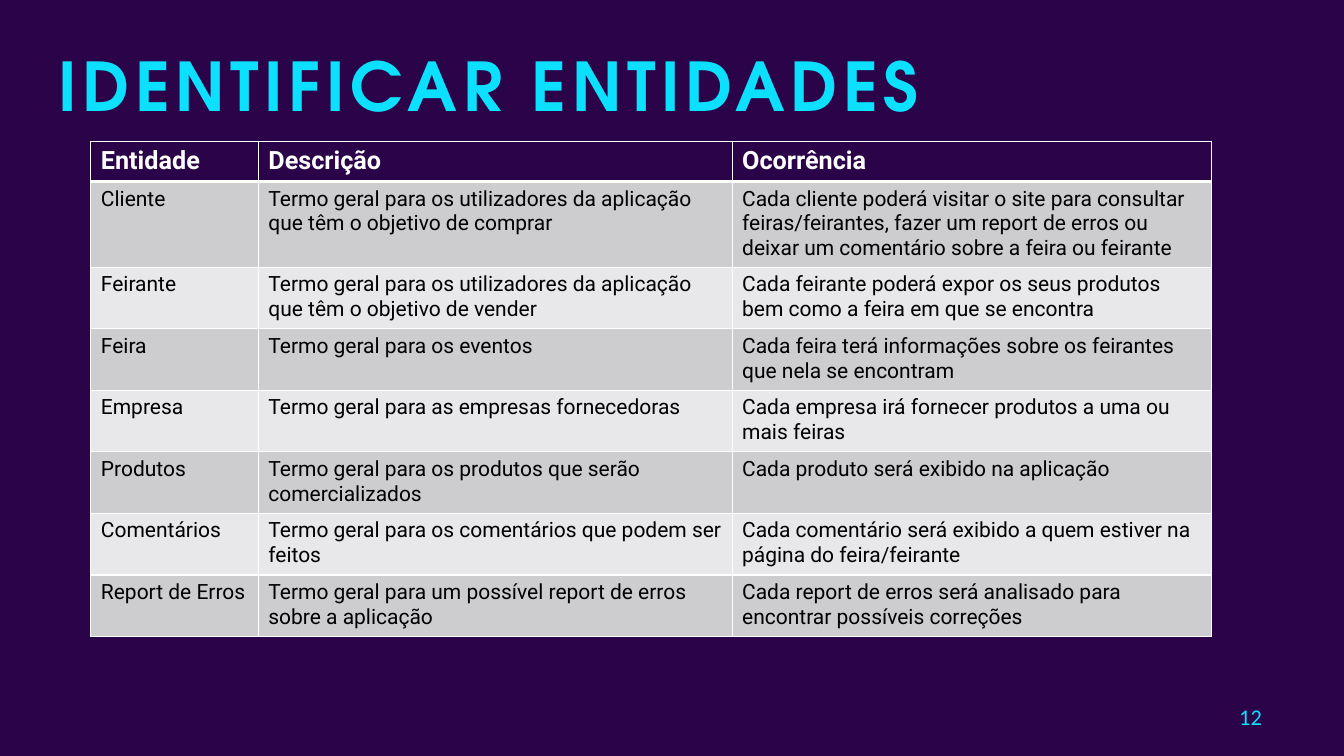
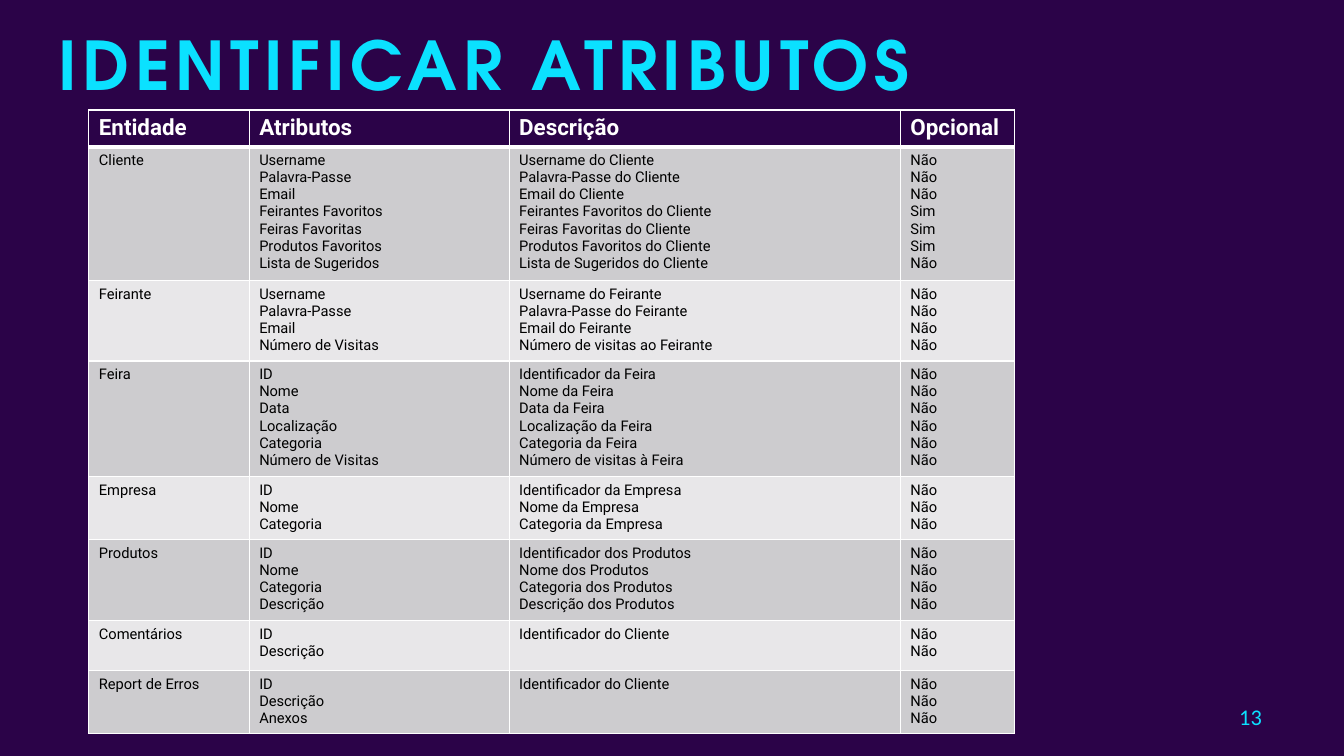
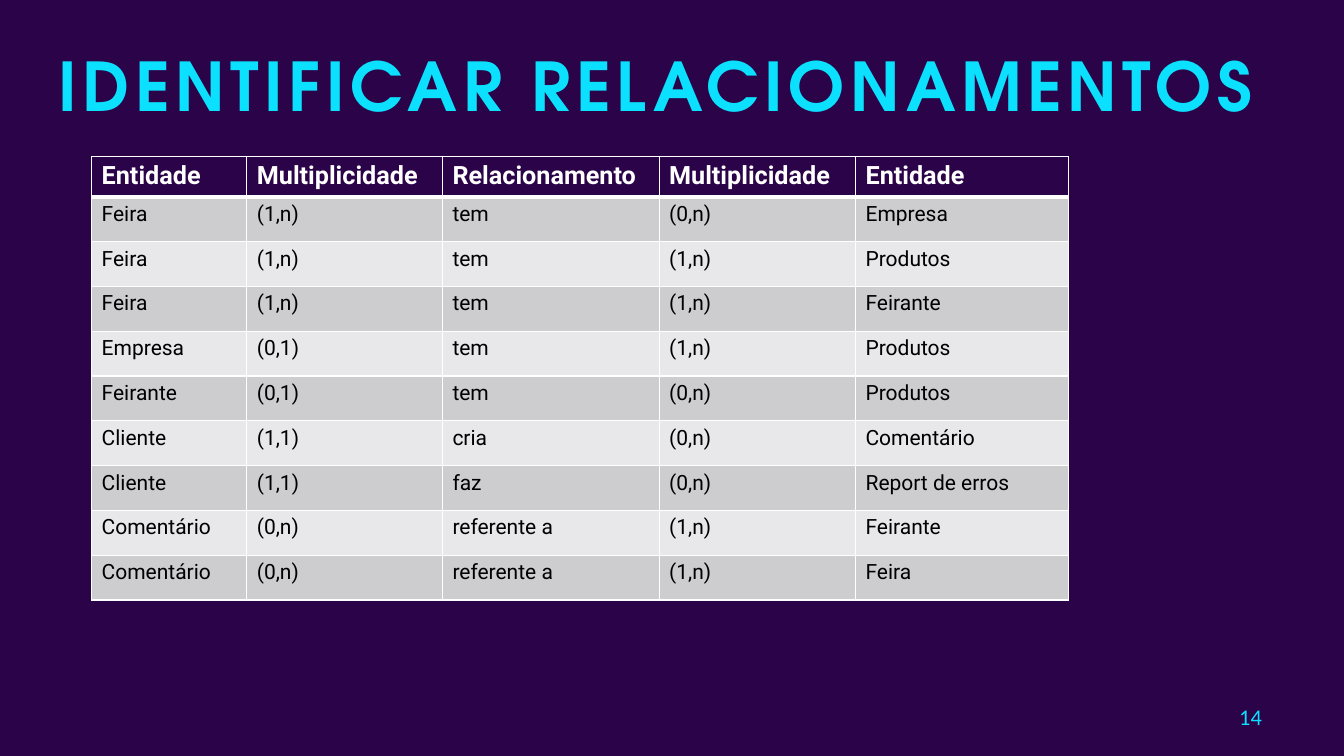
from dataclasses import dataclass

from lxml.etree import SubElement
from pptx import Presentation
from pptx.dml.color import RGBColor
from pptx.enum.text import MSO_ANCHOR as Anchor, PP_ALIGN as Align
from pptx.oxml.ns import qn
from pptx.util import Cm, Pt

Cell = str | tuple[str, ...]


@dataclass(frozen=True)
class Theme:
    background: str = "2B0348"
    accent: str = "0BE1FF"
    white: str = "FFFFFF"
    black: str = "000000"
    odd_row: str = "CDCCCF"
    even_row: str = "E8E7E9"
    title_font: str = "TeX Gyre Adventor"
    table_font: str = "Roboto"
    number_font: str = "Calibri"
    title_size: float = 48
    number_size: float = 16
    title_tracking: float = 4
    thin_border: float = 1
    thick_border: float = 3


THEME = Theme()


@dataclass(frozen=True)
class TextStyle:
    font: str
    size: float
    color: str
    bold: bool = False
    tracking: float = 0


TITLE_STYLE = TextStyle(THEME.title_font, THEME.title_size, THEME.accent, True, THEME.title_tracking)
NUMBER_STYLE = TextStyle(THEME.number_font, THEME.number_size, THEME.accent)


@dataclass(frozen=True)
class Box:
    """Position and size in centimetres."""
    left: float
    top: float
    width: float
    height: float


NUMBER_BOX = Box(30.53, 17.25, 1.52, 1.6)


@dataclass(frozen=True)
class TableSlide:
    number: int
    title: str
    title_box: Box
    left: float
    top: float
    columns: tuple[float, ...]
    heights: tuple[float, ...]
    header_size: float
    body_size: float
    rows: tuple[tuple[Cell, ...], ...]


def add_run(paragraph, text: str, style: TextStyle) -> None:
    run = paragraph.add_run()
    run.text = text
    run.font.name = style.font
    run.font.size = Pt(style.size)
    run.font.bold = style.bold
    run.font.color.rgb = RGBColor.from_string(style.color)
    if style.tracking:
        run.font._element.set("spc", str(int(style.tracking * 100)))


def add_text(slide, box: Box, text: str, style: TextStyle):
    shape = slide.shapes.add_textbox(Cm(box.left), Cm(box.top), Cm(box.width), Cm(box.height))
    shape.text_frame.word_wrap = True
    add_run(shape.text_frame.paragraphs[0], text, style)
    return shape.text_frame


def add_borders(cell, top: float, bottom: float) -> None:
    """Draw white cell borders; must run before the cell is filled."""
    properties = cell._tc.get_or_add_tcPr()
    thin = THEME.thin_border
    for side, width in (("L", thin), ("R", thin), ("T", top), ("B", bottom)):
        line = SubElement(properties, qn(f"a:ln{side}"), w=str(Pt(width)))
        fill = SubElement(line, qn("a:solidFill"))
        SubElement(fill, qn("a:srgbClr"), val=THEME.white)


def fill_cell(cell, content: Cell, row: int, style: TextStyle) -> None:
    thin, thick = THEME.thin_border, THEME.thick_border
    add_borders(cell, thick if row == 1 else thin, thick if row == 0 else thin)
    color = THEME.odd_row if row % 2 else THEME.even_row
    cell.fill.solid()
    cell.fill.fore_color.rgb = RGBColor.from_string(color if row else THEME.background)
    lines = (content,) if isinstance(content, str) else content
    for index, line in enumerate(lines):
        frame = cell.text_frame
        paragraph = frame.add_paragraph() if index else frame.paragraphs[0]
        add_run(paragraph, line, style)


def add_table(slide, content: TableSlide) -> None:
    table = slide.shapes.add_table(
        len(content.rows), len(content.columns), Cm(content.left), Cm(content.top),
        Cm(sum(content.columns)), Cm(sum(content.heights))).table
    table.horz_banding = False
    for column, width in zip(table.columns, content.columns):
        column.width = Cm(width)
    for row, height in zip(table.rows, content.heights):
        row.height = Cm(height)
    header = TextStyle(THEME.table_font, content.header_size, THEME.white, True)
    body = TextStyle(THEME.table_font, content.body_size, THEME.black)
    for row, cells in enumerate(content.rows):
        for column, cell in enumerate(cells):
            fill_cell(table.cell(row, column), cell, row, body if row else header)


def add_table_slide(presentation, content: TableSlide) -> None:
    slide = presentation.slides.add_slide(presentation.slide_layouts[6])
    number = add_text(slide, NUMBER_BOX, str(content.number), NUMBER_STYLE)
    number.vertical_anchor = Anchor.MIDDLE
    number.paragraphs[0].alignment = Align.RIGHT
    title = add_text(slide, content.title_box, content.title, TITLE_STYLE)
    title.paragraphs[0].line_spacing = 0.9
    add_table(slide, content)


ENTITIES = (
    ("Entidade", "Descrição", "Ocorrência"),
    ("Cliente", "Termo geral para os utilizadores da aplicação que têm o objetivo de comprar",
     "Cada cliente poderá visitar o site para consultar feiras/feirantes, "
     "fazer um report de erros ou deixar um comentário sobre a feira ou feirante"),
    ("Feirante", "Termo geral para os utilizadores da aplicação que têm o objetivo de vender",
     "Cada feirante poderá expor os seus produtos bem como a feira em que se encontra"),
    ("Feira", "Termo geral para os eventos",
     "Cada feira terá informações sobre os feirantes que nela se encontram"),
    ("Empresa", "Termo geral para as empresas fornecedoras",
     "Cada empresa irá fornecer produtos a uma ou mais feiras"),
    ("Produtos", "Termo geral para os produtos que serão comercializados",
     "Cada produto será exibido na aplicação"),
    ("Comentários", "Termo geral para os comentários que podem ser feitos",
     "Cada comentário será exibido a quem estiver na página do feira/feirante"),
    ("Report de Erros", "Termo geral para um possível report de erros sobre a aplicação",
     "Cada report de erros será analisado para encontrar possíveis correções"),
)

NO, YES = ("Não",), ("Sim",)

ATTRIBUTES = (
    ("Entidade", "Atributos", "Descrição", "Opcional"),
    ("Cliente",
     ("Username", "Palavra-Passe", "Email", "Feirantes Favoritos", "Feiras Favoritas",
      "Produtos Favoritos", "Lista de Sugeridos"),
     ("Username do Cliente", "Palavra-Passe do Cliente", "Email do Cliente",
      "Feirantes Favoritos do Cliente", "Feiras Favoritas do Cliente",
      "Produtos Favoritos do Cliente", "Lista de Sugeridos do Cliente"),
     NO * 3 + YES * 3 + NO),
    ("Feirante",
     ("Username", "Palavra-Passe", "Email", "Número de Visitas"),
     ("Username do Feirante", "Palavra-Passe do Feirante", "Email do Feirante",
      "Número de visitas ao Feirante"),
     NO * 4),
    ("Feira",
     ("ID", "Nome", "Data", "Localização", "Categoria", "Número de Visitas"),
     ("Identificador da Feira", "Nome da Feira", "Data da Feira", "Localização da Feira",
      "Categoria da Feira", "Número de visitas à Feira"),
     NO * 6),
    ("Empresa",
     ("ID", "Nome", "Categoria"),
     ("Identificador da Empresa", "Nome da Empresa", "Categoria da Empresa"),
     NO * 3),
    ("Produtos",
     ("ID", "Nome", "Categoria", "Descrição"),
     ("Identificador dos Produtos", "Nome dos Produtos", "Categoria dos Produtos",
      "Descrição dos Produtos"),
     NO * 4),
    ("Comentários", ("ID", "Descrição"), "Identificador do Cliente", NO * 2),
    ("Report de Erros", ("ID", "Descrição", "Anexos"), "Identificador do Cliente", NO * 3),
)

RELATIONSHIPS = (
    ("Entidade", "Multiplicidade", "Relacionamento", "Multiplicidade", "Entidade"),
    ("Feira", "(1,n)", "tem", "(0,n)", "Empresa"),
    ("Feira", "(1,n)", "tem", "(1,n)", "Produtos"),
    ("Feira", "(1,n)", "tem", "(1,n)", "Feirante"),
    ("Empresa", "(0,1)", "tem", "(1,n)", "Produtos"),
    ("Feirante", "(0,1)", "tem", "(0,n)", "Produtos"),
    ("Cliente", "(1,1)", "cria", "(0,n)", "Comentário"),
    ("Cliente", "(1,1)", "faz", "(0,n)", "Report de erros"),
    ("Comentário", "(0,n)", "referente a", "(1,n)", "Feirante"),
    ("Comentário", "(0,n)", "referente a", "(1,n)", "Feira"),
)

SLIDES = (
    TableSlide(12, "IDENTIFICAR ENTIDADES", Box(1.22, 1.22, 29.31, 2.08), 2.29, 3.56,
               (4.22, 11.94, 12.09), (0.99,) + (1.55,) * 7, 18, 15, ENTITIES),
    TableSlide(13, "IDENTIFICAR ATRIBUTOS", Box(1.22, 0.69, 29.31, 2.08), 2.24, 2.77,
               (4.04, 6.55, 9.86, 2.87), (0.86, 2.74, 1.47, 2.29, 1.47, 1.88, 1.27, 1.47),
               16, 10.5, ATTRIBUTES),
    TableSlide(14, "IDENTIFICAR RELACIONAMENTOS", Box(1.22, 1.22, 31.17, 2.08), 2.31, 3.94,
               (3.91, 4.93, 5.46, 4.95, 5.36), (0.51,) + (1.13,) * 9, 18, 15, RELATIONSHIPS),
)


def main() -> None:
    presentation = Presentation()
    presentation.slide_width, presentation.slide_height = Cm(33.87), Cm(19.05)
    background = presentation.slide_master.background.fill
    background.solid()
    background.fore_color.rgb = RGBColor.from_string(THEME.background)
    for content in SLIDES:
        add_table_slide(presentation, content)
    presentation.save("out.pptx")


if __name__ == "__main__":
    main()
